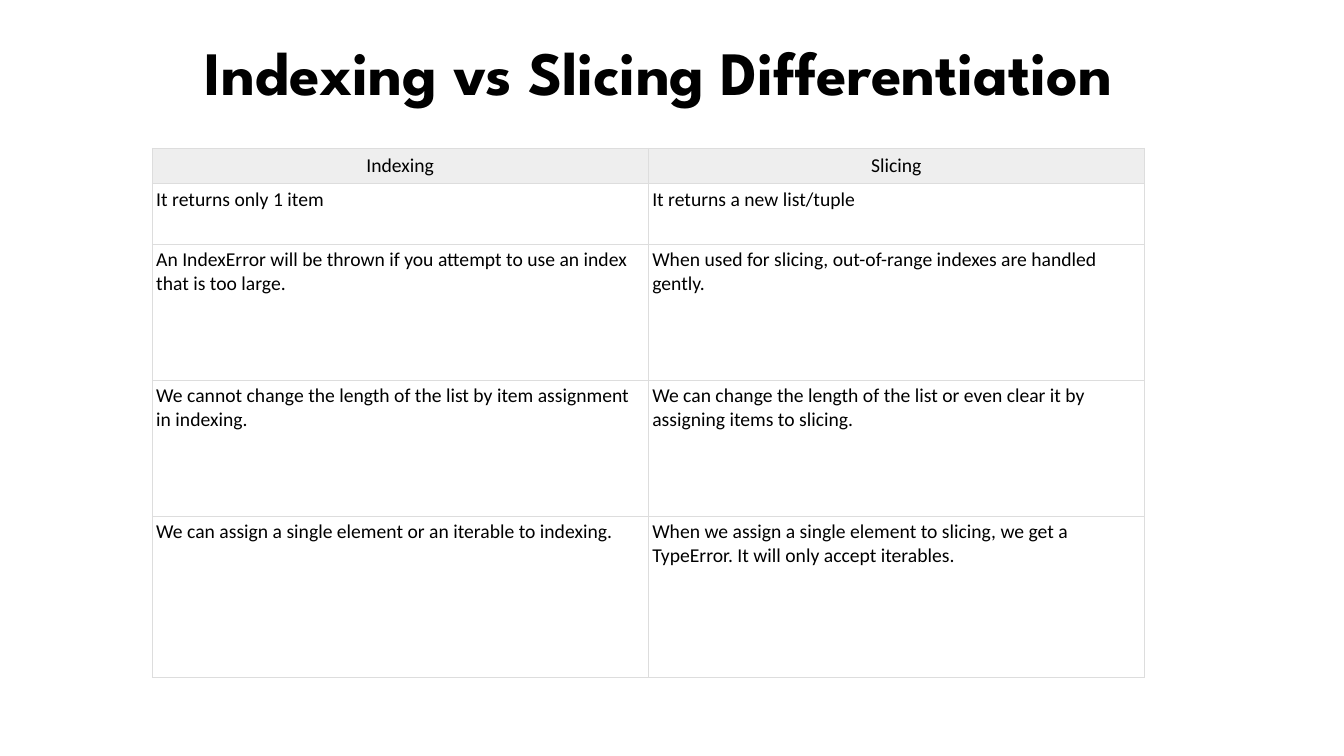
from lxml.etree import SubElement
from pptx import Presentation
from pptx.dml.color import RGBColor
from pptx.enum.text import MSO_ANCHOR, PP_ALIGN
from pptx.oxml.ns import qn
from pptx.util import Inches, Pt

COLORS = {"text": "000000", "border": "DDDDDD", "header": "EEEEEE", "body": "FFFFFF"}
TITLE_FONT = {"name": "League Spartan", "size": Pt(44), "bold": True}
CELL_FONT = {"name": "Calibri", "size": Pt(14), "bold": False}
MARGINS = {f"margin_{side}": Inches(0.04) for side in ("left", "right", "top", "bottom")}
ROW_HEIGHTS = [0.35, 0.6, 1.35, 1.35, 1.6]
ROWS = [
    ("Indexing", "Slicing"),
    ("It returns only 1 item", "It returns a new list/tuple"),
    ("An IndexError will be thrown if you attempt to use an index that is too large.",
     "When used for slicing, out-of-range indexes are handled gently."),
    ("We cannot change the length of the list by item assignment in indexing.",
     "We can change the length of the list or even clear it by assigning items to slicing."),
    ("We can assign a single element or an iterable to indexing.",
     "When we assign a single element to slicing, we get a TypeError. It will only accept iterables."),
]


def set_attrs(obj, values):
    """Set every attribute in a dict of format values."""
    for name, value in values.items():
        setattr(obj, name, value)


def write(p, text, font, align):
    """Put one formatted run in a paragraph."""
    p.alignment = align
    r = p.add_run()
    r.text = text
    set_attrs(r.font, font)
    r.font.color.rgb = RGBColor.from_string(COLORS["text"])


def add_borders(cell):
    """Draw a thin line on all four sides of a cell."""
    tc_pr = cell._tc.get_or_add_tcPr()
    for side in ("lnL", "lnR", "lnT", "lnB"):
        ln = SubElement(tc_pr, qn(f"a:{side}"), w=str(Pt(0.5)))
        fill = SubElement(ln, qn("a:solidFill"))
        SubElement(fill, qn("a:srgbClr"), val=COLORS["border"])


def add_title(s, text, left, top, width, height):
    """Add the centred slide title in the given box."""
    sp = s.shapes.add_textbox(Inches(left), Inches(top), Inches(width), Inches(height))
    tf = sp.text_frame
    set_attrs(tf, {"word_wrap": True, "vertical_anchor": MSO_ANCHOR.MIDDLE})
    p = tf.paragraphs[0]
    p.line_spacing = 0.9
    write(p, text, TITLE_FONT, PP_ALIGN.CENTER)


def add_comparison(s, rows, heights, left, top, width):
    """Add the comparison table with equal columns and a shaded header."""
    n_cols = len(rows[0])
    table = s.shapes.add_table(len(rows), n_cols, Inches(left), Inches(top),
                               Inches(width), Inches(sum(heights))).table
    set_attrs(table, {"first_row": True, "horz_banding": False})
    for col in table.columns:
        col.width = Inches(width / n_cols)
    for i, (texts, height) in enumerate(zip(rows, heights)):
        table.rows[i].height = Inches(height)
        header = i == 0
        for j, text in enumerate(texts):
            cell = table.cell(i, j)
            set_attrs(cell, MARGINS)
            cell.vertical_anchor = MSO_ANCHOR.MIDDLE if header else MSO_ANCHOR.TOP
            add_borders(cell)
            cell.fill.solid()
            cell.fill.fore_color.rgb = RGBColor.from_string(COLORS["header" if header else "body"])
            write(cell.text_frame.paragraphs[0], text, CELL_FONT,
                  PP_ALIGN.CENTER if header else PP_ALIGN.LEFT)


def main():
    """Build the slide and save it."""
    prs = Presentation()
    set_attrs(prs, {"slide_width": Inches(13.33), "slide_height": Inches(7.5)})
    s = prs.slides.add_slide(prs.slide_layouts[6])
    add_title(s, "Indexing vs Slicing Differentiation", 0.79, 0.02, 11.5, 1.45)
    add_comparison(s, ROWS, ROW_HEIGHTS, 1.51, 1.47, 9.84)
    prs.save("out.pptx")


if __name__ == "__main__":
    main()
